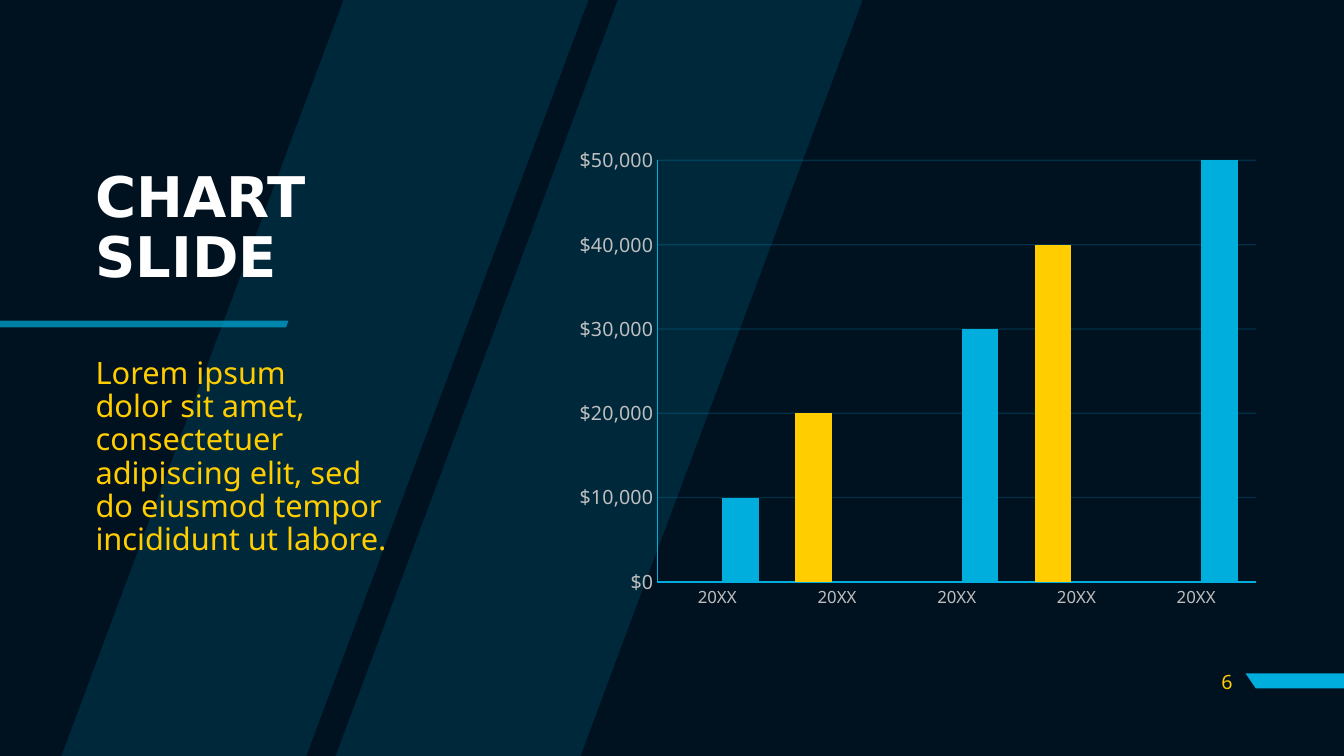
from copy import deepcopy
from dataclasses import dataclass

from lxml import etree
from pptx import Presentation
from pptx.chart.data import CategoryChartData
from pptx.dml.color import RGBColor
from pptx.enum.chart import XL_CHART_TYPE, XL_TICK_MARK
from pptx.enum.text import MSO_ANCHOR, PP_ALIGN
from pptx.oxml import parse_xml
from pptx.oxml.ns import nsdecls, qn
from pptx.util import Cm, Pt

COLUMN_CLUSTERED = XL_CHART_TYPE.COLUMN_CLUSTERED
NO_TICK = XL_TICK_MARK.NONE
TOP, MIDDLE = MSO_ANCHOR.TOP, MSO_ANCHOR.MIDDLE
LEFT, RIGHT = PP_ALIGN.LEFT, PP_ALIGN.RIGHT

NAVY = RGBColor(0x00, 0x11, 0x1F)
CYAN = RGBColor(0x00, 0xAE, 0xDE)
YELLOW = RGBColor(0xFF, 0xCD, 0x00)
WHITE = RGBColor(0xFF, 0xFF, 0xFF)
GRAY = RGBColor(0xBF, 0xBF, 0xBF)

HEADING_FONT = "DejaVu Sans"
BODY_FONT = "Noto Sans"
SLIDE_WIDTH, SLIDE_HEIGHT = 33.87, 19.05
STRIPE_WIDTH, STRIPE_LEAN = 6.17, 7.11
UNITS_PER_CM = 100

Contour = list[tuple[float, float]]


@dataclass
class Decoration:
    contours: list[Contour]
    opacity: int


@dataclass
class TextBlock:
    box: tuple[float, float, float, float]
    lines: list[str]
    font: str
    size: int
    color: RGBColor
    bold: bool = False
    anchor: int = TOP
    alignment: int = LEFT
    line_spacing: float = 1.0


@dataclass
class ColumnSeries:
    name: str
    values: list[int | None]
    color: RGBColor


def stripe(left: float) -> Contour:
    right = left + STRIPE_WIDTH
    return [(left, SLIDE_HEIGHT), (right, SLIDE_HEIGHT),
            (right + STRIPE_LEAN, 0), (left + STRIPE_LEAN, 0)]


DECORATIONS = [
    Decoration([stripe(8.46), stripe(1.55)], 15),
    Decoration([[(SLIDE_WIDTH, 16.97), (SLIDE_WIDTH, 17.35), (31.65, 17.35), (31.39, 16.97)]], 100),
    Decoration([[(0, 8.08), (0, 8.25), (7.21, 8.25), (7.27, 8.08)]], 70),
]

TEXT_BLOCKS = [
    TextBlock((2.16, 3.66, 7.85, 4.24), ["CHART SLIDE"], HEADING_FONT, 40, WHITE,
              bold=True, anchor=MIDDLE, line_spacing=0.9),
    TextBlock((2.16, 8.89, 7.85, 5.99),
              ["Lorem ipsum", "dolor sit amet, consectetuer adipiscing elit, sed",
               "do eiusmod tempor incididunt ut labore."],
              BODY_FONT, 22, YELLOW, line_spacing=0.9),
    TextBlock((29.79, 16.66, 1.52, 1.02), ["6"], BODY_FONT, 14, YELLOW,
              anchor=MIDDLE, alignment=RIGHT),
]

CHART_BOX = (14.26, 3.44, 17.75, 12.07)
PLOT_LAYOUT = {"x": 0.13, "y": 0.05, "w": 0.85, "h": 0.88}
CATEGORIES = ["20XX"] * 5
COLUMN_SERIES = [
    ColumnSeries("Series 1", [None, 20000, None, 40000, None], YELLOW),
    ColumnSeries("Series 2", [10000, None, 30000, None, 50000], CYAN),
]


def set_opacity(element, percent: int) -> None:
    color = next(element.iter(qn("a:srgbClr")))
    etree.SubElement(color, qn("a:alpha")).set("val", str(percent * 1000))


def draw_decoration(slide, decoration: Decoration) -> None:
    first, *others = [[(round(x * UNITS_PER_CM), round(y * UNITS_PER_CM)) for x, y in contour]
                      for contour in decoration.contours]
    builder = slide.shapes.build_freeform(*first[0], scale=Cm(1) / UNITS_PER_CM)
    builder.add_line_segments(first[1:], close=True)
    for contour in others:
        builder.move_to(*contour[0])
        builder.add_line_segments(contour[1:], close=True)
    shape = builder.convert_to_shape()
    shape.shadow.inherit = False
    shape.fill.solid()
    shape.fill.fore_color.rgb = CYAN
    shape.line.fill.background()
    if decoration.opacity < 100:
        set_opacity(shape.element.spPr, decoration.opacity)


def draw_text(slide, block: TextBlock) -> None:
    frame = slide.shapes.add_textbox(*map(Cm, block.box)).text_frame
    frame.word_wrap = True
    frame.vertical_anchor = block.anchor
    paragraph = frame.paragraphs[0]
    paragraph.alignment = block.alignment
    paragraph.line_spacing = block.line_spacing
    for index, line in enumerate(block.lines):
        if index:
            paragraph.add_line_break()
        run = paragraph.add_run()
        run.text = line
        run.font.name = block.font
        run.font.size = Pt(block.size)
        run.font.bold = block.bold
        run.font.color.rgb = block.color


def style_axis(axis, size: int) -> None:
    axis.major_tick_mark = NO_TICK
    axis.minor_tick_mark = NO_TICK
    axis.format.line.color.rgb = CYAN
    axis.format.line.width = Pt(1)
    font = axis.tick_labels.font
    font.name = BODY_FONT
    font.size = Pt(size)
    font.color.rgb = GRAY


def set_plot_layout(chart) -> None:
    plot_area = chart.element.chart.plotArea
    for layout in plot_area.findall(qn("c:layout")):
        plot_area.remove(layout)
    modes = "".join(f'<c:{axis}Mode val="edge"/>' for axis in "xy")
    sizes = "".join(f'<c:{key} val="{value}"/>' for key, value in PLOT_LAYOUT.items())
    plot_area.insert(0, parse_xml(
        f'<c:layout {nsdecls("c")}><c:manualLayout><c:layoutTarget val="inner"/>'
        f"{modes}{sizes}</c:manualLayout></c:layout>"))


def move_last_series_to_hidden_axes(chart) -> None:
    plot_area = chart.element.chart.plotArea
    columns, category_axis, value_axis = [
        plot_area.find(qn(tag)) for tag in ("c:barChart", "c:catAx", "c:valAx")]
    right_columns, right_category, right_value = map(deepcopy, (columns, category_axis, value_axis))
    columns.remove(columns.findall(qn("c:ser"))[-1])
    for series in right_columns.findall(qn("c:ser"))[:-1]:
        right_columns.remove(series)
    new_ids = {category_axis.find(qn("c:axId")).get("val"): "50010",
               value_axis.find(qn("c:axId")).get("val"): "50020"}
    for element in (right_columns, right_category, right_value):
        for reference in element.iter(qn("c:axId"), qn("c:crossAx")):
            reference.set("val", new_ids[reference.get("val")])
    for axis in (right_category, right_value):
        axis.find(qn("c:delete")).set("val", "1")
    right_value.remove(right_value.find(qn("c:majorGridlines")))
    right_value.find(qn("c:axPos")).set("val", "r")
    right_value.find(qn("c:crosses")).set("val", "max")
    columns.addnext(right_columns)
    value_axis.addnext(right_value)
    right_value.addnext(right_category)


def draw_chart(slide) -> None:
    data = CategoryChartData()
    data.categories = CATEGORIES
    for series in COLUMN_SERIES:
        data.add_series(series.name, series.values)
    chart = slide.shapes.add_chart(COLUMN_CLUSTERED, *map(Cm, CHART_BOX), data).chart
    chart.has_title = False
    chart.has_legend = False
    chart.font.name = BODY_FONT
    chart.font.size = Pt(10)
    plot = chart.plots[0]
    plot.vary_by_categories = False
    plot.gap_width = 100
    plot.overlap = -27
    for drawn, series in zip(plot.series, COLUMN_SERIES):
        drawn.format.fill.solid()
        drawn.format.fill.fore_color.rgb = series.color
    style_axis(chart.category_axis, 12)
    value_axis = chart.value_axis
    style_axis(value_axis, 14)
    value_axis.minimum_scale, value_axis.maximum_scale = 0, 50000
    value_axis.major_unit = 10000
    value_axis.tick_labels.number_format = "[$$-409]#,##0"
    value_axis.tick_labels.number_format_is_linked = False
    grid_line = value_axis.major_gridlines.format.line
    grid_line.color.rgb = CYAN
    grid_line.width = Pt(1)
    set_opacity(value_axis._element.find(qn("c:majorGridlines")), 20)
    set_plot_layout(chart)
    move_last_series_to_hidden_axes(chart)


if __name__ == "__main__":
    presentation = Presentation()
    presentation.slide_width, presentation.slide_height = Cm(SLIDE_WIDTH), Cm(SLIDE_HEIGHT)
    slide = presentation.slides.add_slide(presentation.slide_layouts[6])
    slide.background.fill.solid()
    slide.background.fill.fore_color.rgb = NAVY
    for decoration in DECORATIONS:
        draw_decoration(slide, decoration)
    for block in TEXT_BLOCKS:
        draw_text(slide, block)
    draw_chart(slide)
    presentation.save("out.pptx")
